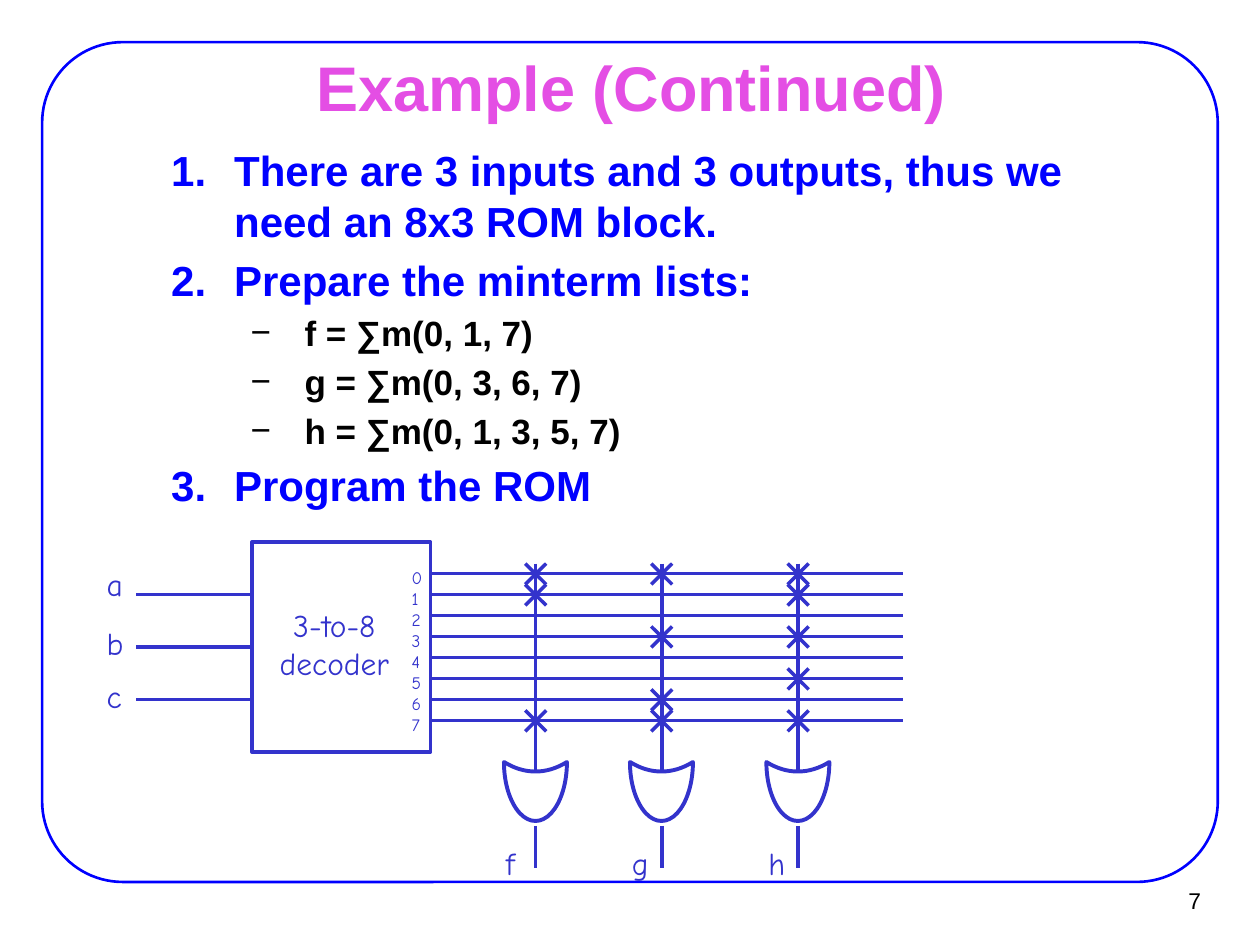
from pptx import Presentation, util as u
from pptx.dml import color as clr
from pptx.enum import shapes as sh, text as tx
from pptx.oxml import ns, xmlchemy as xc

Cm, Pt = u.Cm, u.Pt
BLUE, INK, PINK, BLACK = "0000FF", "3333CC", "E44EE4", "000000"
HAND, SANS = "Comic Neue", "Arial"


def paint(fmt, hue):
    fmt.rgb = clr.RGBColor.from_string(hue)


def style(para, size, hue, font, bold=False):
    for run in para.runs:
        run.font.size, run.font.name, run.font.bold = Pt(size), font, bold
        paint(run.font.color, hue)


def place(item, box):
    item.left, item.top, item.width, item.height = [Cm(v) for v in box]


def line(x1, y1, x2, y2):
    wire = slide.shapes.add_connector(
        sh.MSO_CONNECTOR.STRAIGHT, Cm(x1), Cm(y1), Cm(x2), Cm(y2))
    paint(wire.line.color, INK)
    wire.line.width = Pt(2)
    wire._element.spPr.append(xc.OxmlElement("a:effectLst"))


def shape(kind, box, hue, width, bend=None):
    item = slide.shapes.add_shape(kind, *[Cm(v) for v in box])
    item.shadow.inherit = False
    item.fill.background()
    paint(item.line.color, hue)
    item.line.width = Pt(width)
    if bend is not None:
        item.adjustments[0] = bend
    return item


def label(words, box, size=18, hue=INK, font=HAND, align=tx.PP_ALIGN.LEFT):
    frame = slide.shapes.add_textbox(*[Cm(v) for v in box]).text_frame
    frame.word_wrap = False
    frame.text = words
    for para in frame.paragraphs:
        para.alignment = align
        style(para, size, hue, font)


def bullet(para, kind, key, value, left, hang):
    props = para._p.get_or_add_pPr()
    props.set("marL", str(Cm(left)))
    props.set("indent", str(Cm(-hang)))
    font = xc.OxmlElement("a:buFont")
    font.set("typeface", SANS)
    mark = xc.OxmlElement(kind)
    mark.set(key, value)
    props.extend([font, mark])


def inset(frame):
    frame.word_wrap = True
    frame.auto_size = tx.MSO_AUTO_SIZE.NONE
    frame.margin_left = frame.margin_right = Cm(0.28)
    frame.margin_top = frame.margin_bottom = Cm(0.15)


def head(box):
    item = slide.shapes.title
    place(item, box)
    frame = item.text_frame
    inset(frame)
    frame.vertical_anchor = tx.MSO_ANCHOR.MIDDLE
    frame.text = "Example (Continued)"
    para = frame.paragraphs[0]
    para.alignment = tx.PP_ALIGN.CENTER
    style(para, 36, PINK, SANS, True)


def steps(box, items):
    item = slide.placeholders[1]
    place(item, box)
    frame = item.text_frame
    inset(frame)
    frame.text = "\n".join(words for words, _ in items)
    for para, (_, level) in zip(frame.paragraphs, items):
        para.level = level
        if level:
            bullet(para, "a:buChar", "char", "\u2212", 3.96, 1.09)
            style(para, 20, BLACK, SANS, True)
        else:
            bullet(para, "a:buAutoNum", "type", "arabicPeriod", 2.54, 1.27)
            style(para, 24, BLUE, SANS, True)


def coder(box):
    left, top, wide, high = box
    right, step = left + wide, high / 10
    shape(sh.MSO_SHAPE.RECTANGLE, box, INK, 2)
    for name, row, rise in (("a", 2.5, 0.73), ("b", 5, 0.6), ("c", 7.5, 0.58)):
        y = top + row * step
        line(left, y, left - 2.33, y)
        label(name, (left - 3.18, y - rise, 0.85, 1.02))
    label("3-to-8\vdecoder", (left + 0.2, top + 1.17, 2.92, 1.78),
          align=tx.PP_ALIGN.CENTER)
    label("\n".join(str(n) for n in range(8)),
          (right - 0.63, top + 0.38, 0.73, 3.63), 10)
    for n in range(8):
        y = top + (n + 1.5) * step
        line(right, y, right + 9.52, y)


def gate(box, name, terms):
    left, top, wide, high = box
    mid, step = left + wide / 2, 0.423
    half = step / 2
    line(mid, top, mid, top + 4.23)
    for n in terms:
        y = top + half + n * step
        line(mid - half, y - half, mid + half, y + half)
        line(mid + half, y - half, mid - half, y + half)
    moon = shape(sh.MSO_SHAPE.MOON,
                 (mid - 0.6, top + 3.96, 1.19, 1.27), INK, 2.25, 0.838)
    moon.rotation = 270
    line(mid, top + 5.29, mid, top + high)
    label(name, (left, top + 5.53, 0.85, 1.02))


deck = Presentation()
deck.slide_width, deck.slide_height = Cm(25.4), Cm(19.05)
slide = deck.slides.add_slide(deck.slide_layouts[1])

shape(sh.MSO_SHAPE.ROUNDED_RECTANGLE, (0.85, 0.85, 23.7, 16.93), BLUE, 1.5, 0.096)
label("7", (22.91, 17.75, 1.55, 0.94), 13, BLACK, SANS, tx.PP_ALIGN.RIGHT)
head((1.93, 1.12, 21.59, 1.24))
steps((1.9, 2.77, 21.59, 12.9), [
    ("There are 3 inputs and 3 outputs, thus we need an 8x3 ROM block.", 0),
    ("Prepare the minterm lists:", 0),
    ("f = \u2211m(0, 1, 7)", 1),
    ("g = \u2211m(0, 3, 6, 7)", 1),
    ("h = \u2211m(0, 1, 3, 5, 7)", 1),
    ("Program the ROM", 0),
])
coder((5.08, 10.93, 3.6, 4.23))
for name, x, terms in (("f", 9.95, (0, 1, 7)), ("g", 12.49, (0, 3, 6, 7)),
                       ("h", 15.24, (0, 1, 3, 5, 7))):
    gate((x, 11.36, 1.7, 6.14), name, terms)

deck.save("out.pptx")
